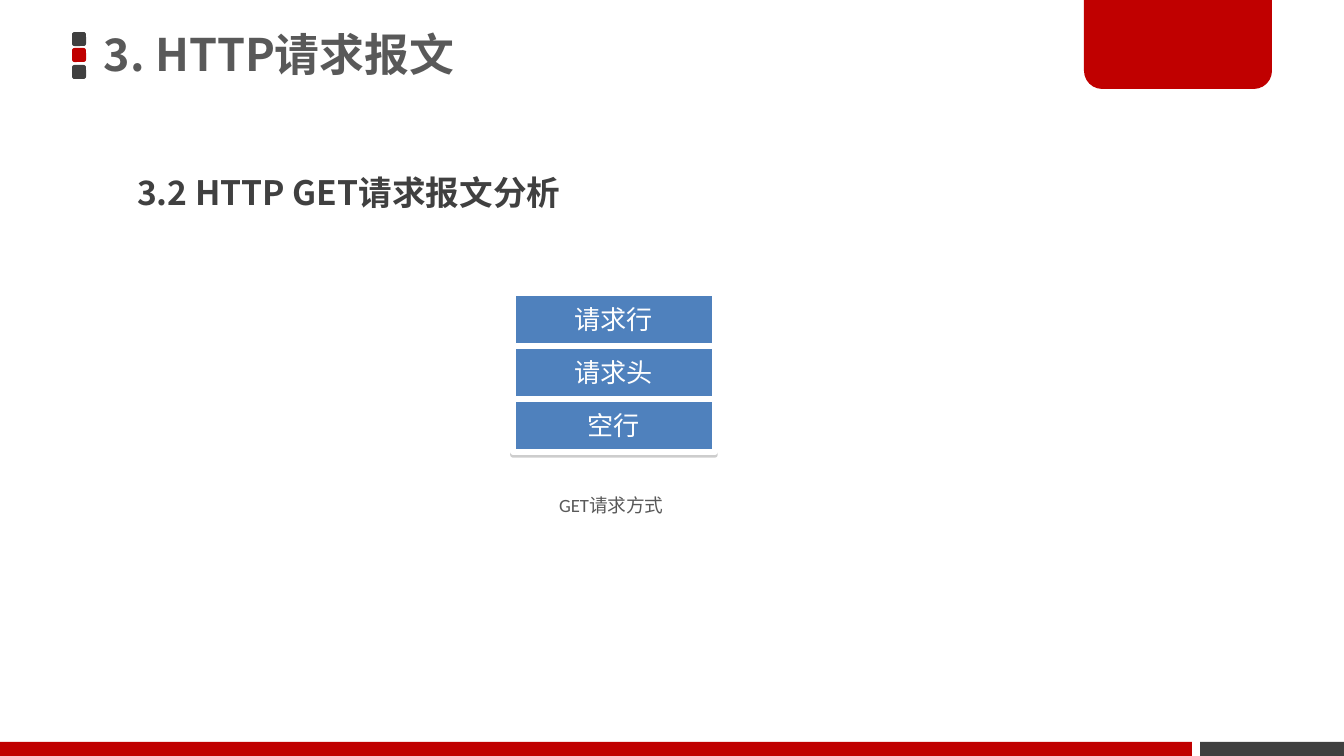
from lxml.etree import SubElement
from pptx import Presentation
from pptx.dml.color import RGBColor
from pptx.enum.shapes import MSO_SHAPE
from pptx.enum.text import MSO_ANCHOR, PP_ALIGN
from pptx.oxml import parse_xml
from pptx.oxml.ns import nsdecls, qn
from pptx.util import Emu, Pt

PX = 914400 / 134.4
RED = RGBColor(0xC0, 0x00, 0x00)
DARK = RGBColor(0x40, 0x40, 0x40)
GREY = RGBColor(0x59, 0x59, 0x59)
BLUE = RGBColor(0x4F, 0x81, 0xBD)
WHITE = RGBColor(0xFF, 0xFF, 0xFF)
HEAD = "Noto Sans CJK SC"
BODY = "Calibri"
SHADOW = (
    f'<a:effectLst {nsdecls("a")}>'
    '<a:outerShdw dist="20000" dir="5400000" rotWithShape="0">'
    '<a:srgbClr val="808080"><a:alpha val="38000"/></a:srgbClr>'
    '</a:outerShdw></a:effectLst>'
)


def scale(*sizes):
    return [Emu(round(size * PX)) for size in sizes]


class Painter:
    def __init__(self, slide):
        self.slide = slide

    def letter(self, frame, text, size, color, font, bold=False):
        para = frame.paragraphs[0]
        para.text = text
        para.font.size = Pt(size)
        para.font.bold = bold
        para.font.color.rgb = color
        para.font.name = font
        props = para.font.fill._xPr
        SubElement(props, qn("a:ea")).set("typeface", HEAD)
        return para

    def shape(self, kind, box, color, *rounds):
        item = self.slide.shapes.add_shape(kind, *scale(*box))
        item.shadow.inherit = False
        item.fill.solid()
        item.fill.fore_color.rgb = color
        item.line.fill.background()
        for i, value in enumerate(rounds):
            item.adjustments[i] = value
        return item

    def block(self, box, text):
        item = self.shape(MSO_SHAPE.RECTANGLE, box, BLUE)
        item.line.color.rgb = WHITE
        item.line.width = Pt(3)
        props = item.fill._xPr
        props.replace(props.find(qn("a:effectLst")), parse_xml(SHADOW))
        item.text_frame.vertical_anchor = MSO_ANCHOR.MIDDLE
        para = self.letter(item.text_frame, text, 14, WHITE, BODY)
        para.alignment = PP_ALIGN.CENTER

    def label(self, box, text, size, color, font, bold=False, space=1.0,
              wrap=True, anchor=MSO_ANCHOR.TOP):
        frame = self.slide.shapes.add_textbox(*scale(*box)).text_frame
        frame.word_wrap = wrap
        frame.vertical_anchor = anchor
        para = self.letter(frame, text, size, color, font, bold)
        para.line_spacing = space
        return frame


def main():
    deck = Presentation()
    deck.slide_width, deck.slide_height = scale(1344, 756)
    page = Painter(deck.slides.add_slide(deck.slide_layouts[6]))

    for i, color in enumerate((DARK, RED, DARK)):
        page.shape(MSO_SHAPE.ROUNDED_RECTANGLE,
                   (72, 32 + i * 33 // 2, 14, 14), color, 0.17)
    page.shape(MSO_SHAPE.RECTANGLE, (1200, 742, 144, 14), DARK)
    page.shape(MSO_SHAPE.ROUND_2_SAME_RECTANGLE,
               (1084, -2, 188, 91), RED, 0, 0.2)
    page.shape(MSO_SHAPE.RECTANGLE, (0, 742, 1192, 14), RED)

    title = page.label((93, -3, 792, 120), "3. HTTP请求报文", 24, GREY, HEAD,
                       bold=True, space=0.9, anchor=MSO_ANCHOR.MIDDLE)
    title.margin_left, title.margin_right = scale(11, 11)
    title.margin_top, title.margin_bottom = scale(5, 5)
    page.label((124, 145, 649, 74), "3.2 HTTP GET请求报文分析", 18, DARK, HEAD,
               bold=True, space=1.5)

    for i, text in enumerate(("请求行", "请求头", "空行")):
        page.block((513, 293 + i * 53, 202, 53), text)
    page.label((546, 487, 136, 36), "GET请求方式", 10, GREY, BODY, wrap=False)

    deck.save("out.pptx")


if __name__ == "__main__":
    main()
